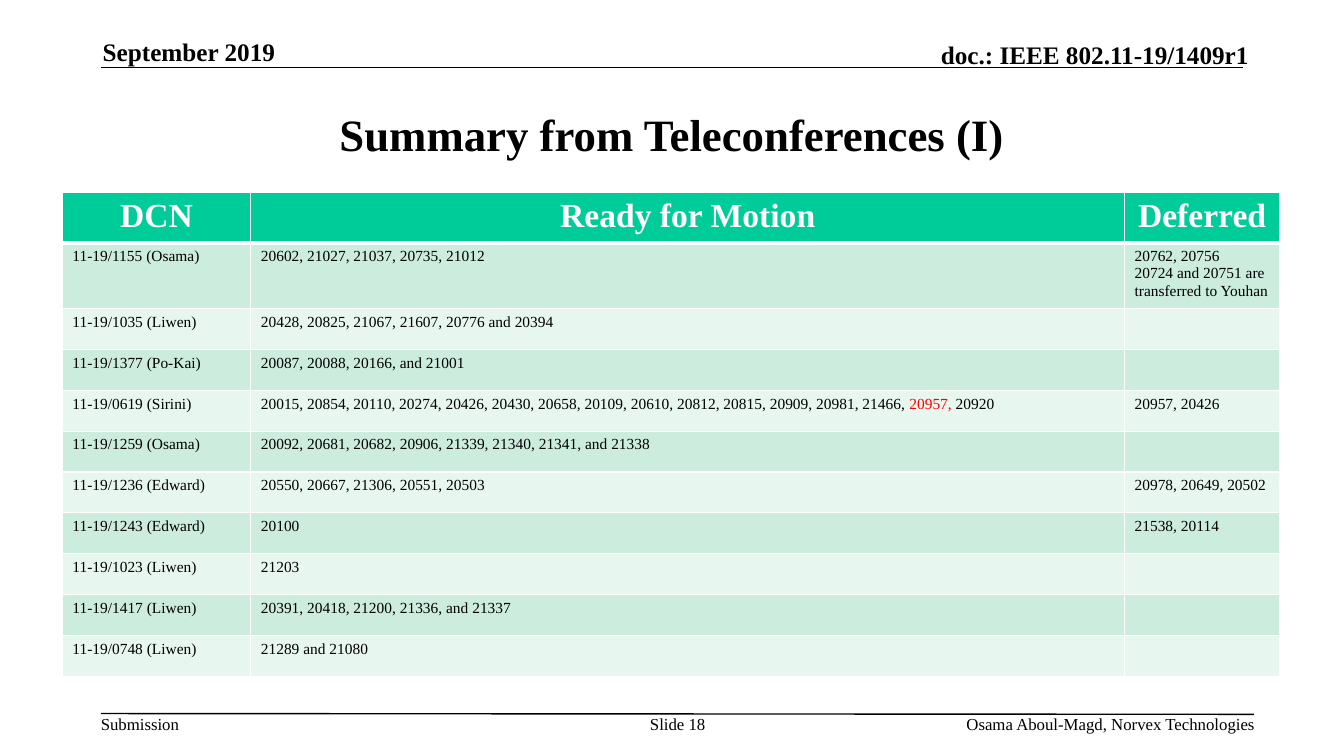
from lxml import etree
from pptx import Presentation
from pptx import util as u
from pptx.dml.color import RGBColor
from pptx.enum import shapes, text
from pptx.oxml.ns import qn

COL = {"ink": "000000", "red": "FF0000", "white": "FFFFFF",
       "head": "00CC99", "odd": "CCECDE", "even": "E7F6EF"}
FONT = "Times New Roman"
LEFT, MID, RIGHT = text.PP_ALIGN.LEFT, text.PP_ALIGN.CENTER, text.PP_ALIGN.RIGHT
TOP, CENTRE, BASE = text.MSO_ANCHOR.TOP, text.MSO_ANCHOR.MIDDLE, text.MSO_ANCHOR.BOTTOM

# Text, box in cm (left, top, width, height), format
BOXES = [
    ("September 2019", (2.59, 0.91, 6.93, 0.76),
     dict(size=18, bold=True, anchor=BASE)),
    ("doc.: IEEE 802.11-19/1409r1", (18.52, 0.99, 12.95, 0.76),
     dict(size=18, bold=True, align=RIGHT, anchor=BASE)),
    ("Summary from Teleconferences (I)", (2.54, 1.9, 28.78, 2.95),
     dict(size=32, bold=True, align=MID, anchor=CENTRE)),
    ("Submission", (2.54, 17.98, 2.01, 0.51), dict(size=12, wrap=False)),
    ("Slide 18", (16.1, 17.98, 1.96, 1.02), dict(size=12, align=MID)),
    ("Osama Aboul-Magd, Norvex Technologies", (19.84, 17.98, 11.79, 0.51),
     dict(size=12, align=RIGHT)),
]
RULES = [(2.54, 1.7, 31.32, 1.7), (2.54, 17.98, 31.6, 18.0)]

HEADS = ["DCN", "Ready for Motion", "Deferred"]
# Words between asterisks are red; a line break starts a new paragraph
ROWS = [
    ("11-19/1155 (Osama)", "20602, 21027, 21037, 20735, 21012",
     "20762, 20756\n20724 and 20751 are transferred to Youhan"),
    ("11-19/1035 (Liwen)", "20428, 20825, 21067, 21607, 20776 and 20394", ""),
    ("11-19/1377 (Po-Kai)", "20087, 20088, 20166, and 21001", ""),
    ("11-19/0619 (Sirini)",
     "20015, 20854, 20110, 20274, 20426, 20430, 20658, 20109, 20610, 20812, "
     "20815, 20909, 20981, 21466, *20957,* 20920", "20957, 20426"),
    ("11-19/1259 (Osama)",
     "20092, 20681, 20682, 20906, 21339, 21340, 21341, and 21338", ""),
    ("11-19/1236 (Edward)", "20550, 20667, 21306, 20551, 20503",
     "20978, 20649, 20502"),
    ("11-19/1243 (Edward)", "20100", "21538, 20114"),
    ("11-19/1023 (Liwen)", "21203", ""),
    ("11-19/1417 (Liwen)", "20391, 20418, 21200, 21336, and 21337", ""),
    ("11-19/0748 (Liwen)", "21289 and 21080", ""),
]
WIDTHS = [4.75, 22.02, 3.91]
ROW_H = 1.03


def rgb(name):
    return RGBColor.from_string(COL[name])


def write(frame, words, size=11, bold=False, color="ink", align=LEFT):
    for i, line in enumerate(words.split("\n")):
        para = frame.add_paragraph() if i else frame.paragraphs[0]
        para.alignment = align
        for j, part in enumerate(line.split("*")):
            if not part:
                continue
            run = para.add_run()
            run.text = part
            run.font.name, run.font.size = FONT, u.Pt(size)
            run.font.bold = bold
            run.font.color.rgb = rgb("red" if j % 2 else color)


def add_box(slide, words, box, anchor=TOP, wrap=True, **fmt):
    frame = slide.shapes.add_textbox(*map(u.Cm, box)).text_frame
    frame.margin_left = frame.margin_right = 0
    frame.margin_top = frame.margin_bottom = 0
    frame.word_wrap, frame.vertical_anchor = wrap, anchor
    write(frame, words, **fmt)


def add_rule(slide, ends):
    line = slide.shapes.add_connector(shapes.MSO_CONNECTOR.STRAIGHT, *map(u.Cm, ends))
    line.line.color.rgb, line.line.width = rgb("ink"), u.Pt(1)
    etree.SubElement(line._element.spPr, qn("a:effectLst"))


def add_edges(cell, **widths):
    """Draw white cell borders; widths are points by side: L, R, T, B."""
    props = cell._tc.get_or_add_tcPr()
    for side, width in widths.items():
        edge = etree.SubElement(props, qn("a:ln" + side), w=str(u.Pt(width)))
        fill = etree.SubElement(edge, qn("a:solidFill"))
        etree.SubElement(fill, qn("a:srgbClr"), val=COL["white"])


def add_grid(slide):
    rows = [HEADS] + ROWS
    size = (sum(WIDTHS), ROW_H * len(rows))
    grid = slide.shapes.add_table(len(rows), len(HEADS),
                                  *map(u.Cm, (1.57, 4.85) + size)).table
    for col, width in zip(grid.columns, WIDTHS):
        col.width = u.Cm(width)
    for r, row in enumerate(rows):
        grid.rows[r].height = u.Cm(ROW_H)
        tone = "head" if r == 0 else "odd" if r % 2 else "even"
        fmt = dict(size=24, bold=True, color="white", align=MID) if r == 0 else {}
        for c, words in enumerate(row):
            cell = grid.cell(r, c)
            add_edges(cell, L=1, R=1, T=3 if r == 1 else 1, B=1 if r else 3)
            cell.fill.solid()
            cell.fill.fore_color.rgb = rgb(tone)
            write(cell.text_frame, words, **fmt)


def main():
    deck = Presentation()
    deck.slide_width, deck.slide_height = u.Cm(33.87), u.Cm(19.05)
    slide = deck.slides.add_slide(deck.slide_layouts[6])
    for ends in RULES:
        add_rule(slide, ends)
    for words, box, fmt in BOXES:
        add_box(slide, words, box, **fmt)
    add_grid(slide)
    deck.save("out.pptx")


if __name__ == "__main__":
    main()
